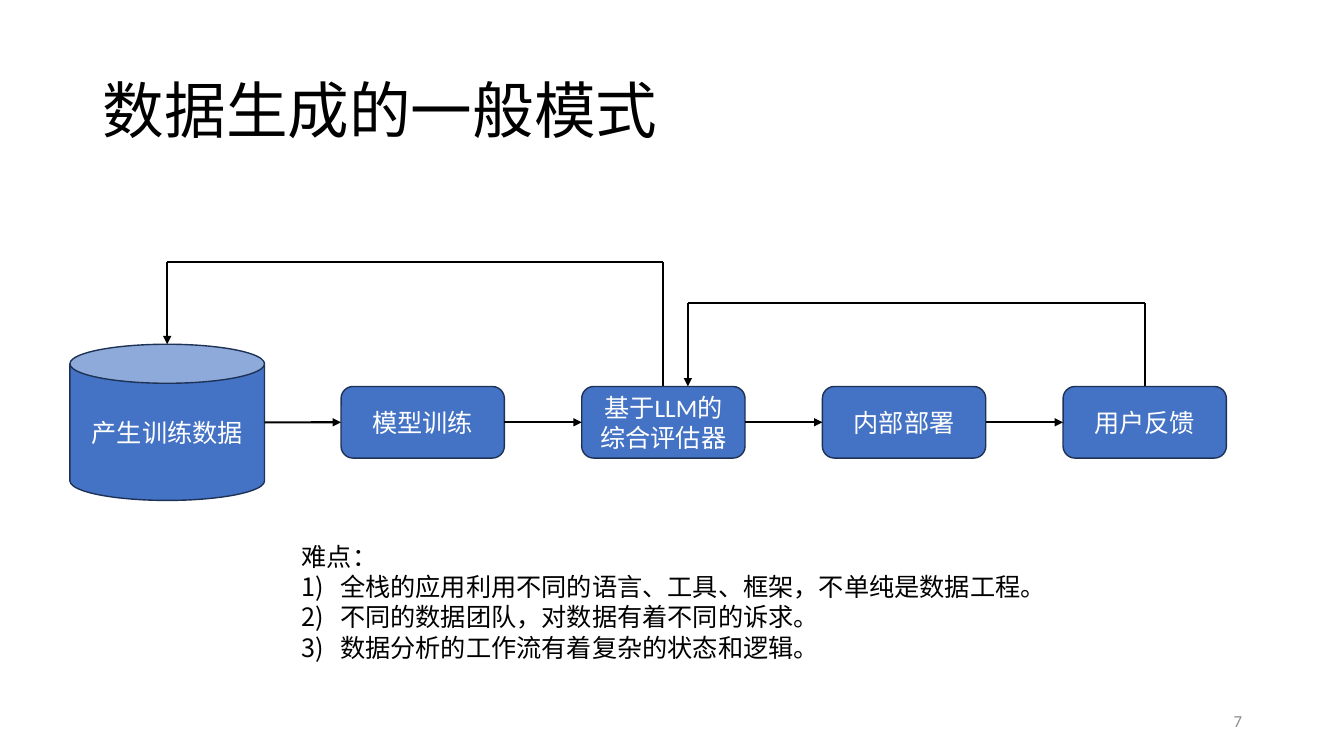
from itertools import pairwise
from typing import NamedTuple

from lxml.etree import SubElement
from pptx import Presentation
from pptx.dml.color import RGBColor
from pptx.enum.shapes import MSO_CONNECTOR, MSO_SHAPE
from pptx.enum.text import MSO_ANCHOR, MSO_AUTO_SIZE, PP_ALIGN
from pptx.oxml.ns import qn
from pptx.util import Inches, Pt

COLORS = {"ink": "000000", "step": "4472C4", "edge": "1E3256",
          "on_step": "FFFFFF", "number": "8C8C8C"}
FONT = "Calibri"
TOP, LEFT, RIGHT = 0, 1, 3
STEPS = ["模型训练", "基于LLM的综合评估器", "内部部署", "用户反馈"]
DIFFICULTIES = ["全栈的应用利用不同的语言、工具、框架，不单纯是数据工程。",
                "不同的数据团队，对数据有着不同的诉求。",
                "数据分析的工作流有着复杂的状态和逻辑。"]


class Box(NamedTuple):
    left: int
    top: int
    width: int
    height: int

    def point(self, x, y):
        return (int(self.left + self.width * x / 100),
                int(self.top + self.height * y / 100))

    def area(self, x, y, width, height):
        return Box(*self.point(x, y), int(self.width * width / 100),
                   int(self.height * height / 100))


def color(name):
    return RGBColor.from_string(COLORS[name])


def place(shape, box):
    shape.left, shape.top, shape.width, shape.height = box


def format_text(frame, size, ink, align, anchor):
    frame.word_wrap = True
    frame.auto_size = MSO_AUTO_SIZE.NONE
    frame.vertical_anchor = anchor
    for paragraph in frame.paragraphs:
        paragraph.alignment = align
        for run in paragraph.runs:
            run.font.name = FONT
            run.font.size = Pt(size)
            run.font.color.rgb = color(ink)


def add_title(slide, box):
    title = slide.shapes.title
    place(title, box)
    title.text_frame.text = "数据生成的一般模式"
    title.text_frame.paragraphs[0].line_spacing = 0.9
    format_text(title.text_frame, 44, "ink", PP_ALIGN.LEFT, MSO_ANCHOR.MIDDLE)


def add_step(slide, kind, box, label):
    step = slide.shapes.add_shape(kind, *box)
    step.shadow.inherit = False
    step.fill.solid()
    step.fill.fore_color.rgb = color("step")
    step.line.color.rgb = color("edge")
    step.line.width = Pt(1)
    step.text_frame.text = label
    format_text(step.text_frame, 18, "on_step", PP_ALIGN.CENTER, MSO_ANCHOR.MIDDLE)
    return step


def add_line(slide, start, end, arrow=False):
    line = slide.shapes.add_connector(MSO_CONNECTOR.STRAIGHT, *start, *end)
    line.line.color.rgb = color("ink")
    line.line.width = Pt(1.5)
    properties = line._element.spPr
    if arrow:
        SubElement(properties.get_or_add_ln(), qn("a:tailEnd"), type="triangle")
    SubElement(properties, qn("a:effectLst"))
    return line


def add_feedback(slide, source, start, rail, end):
    corners = [start, (start[0], rail), (end[0], rail), end]
    riser, *_ = [add_line(slide, a, b, arrow=b == end) for a, b in pairwise(corners)]
    riser.begin_connect(source, TOP)


def add_flow(slide, box):
    data_box = box.area(0, 34.6, 16.83, 65.4)
    step_boxes = [box.area(23.45 + 20.81 * i, 52.3, 14.12, 29.96)
                  for i in range(len(STEPS))]
    add_step(slide, MSO_SHAPE.CAN, data_box, "产生训练数据")
    steps = [add_step(slide, MSO_SHAPE.ROUNDED_RECTANGLE, step_box, label)
             for step_box, label in zip(step_boxes, STEPS)]

    for i, (before, after) in enumerate(pairwise([data_box, *step_boxes])):
        arrow = add_line(slide, before.point(100, 50), after.point(0, 50), arrow=True)
        if i:
            arrow.begin_connect(steps[i - 1], RIGHT)
        arrow.end_connect(steps[i], LEFT)

    evaluator, users = step_boxes[1], step_boxes[3]
    add_feedback(slide, steps[1], evaluator.point(50, 0), box.top,
                 data_box.point(50, 0))
    add_feedback(slide, steps[3], users.point(50, 0), box.point(0, 17.3)[1],
                 evaluator.point(65, 0))


def add_difficulties(slide, box):
    body = slide.placeholders[1]
    place(body, box)
    frame = body.text_frame
    frame.text = "\n".join(["难点：", *DIFFICULTIES])
    format_text(frame, 18, "ink", PP_ALIGN.LEFT, MSO_ANCHOR.TOP)
    for i, paragraph in enumerate(frame.paragraphs):
        paragraph.space_before = Pt(0)
        indent = Inches(0.38) if i else 0
        properties = paragraph._p.get_or_add_pPr()
        properties.set("marL", str(indent))
        properties.set("indent", str(-indent))
        if i:
            SubElement(properties, qn("a:buFont"), typeface=FONT)
            SubElement(properties, qn("a:buAutoNum"), type="arabicParenR")
        else:
            SubElement(properties, qn("a:buNone"))


def add_page_number(slide, box):
    number = slide.shapes.add_textbox(*box)
    number.text_frame.text = "7"
    format_text(number.text_frame, 12, "number", PP_ALIGN.RIGHT, MSO_ANCHOR.MIDDLE)


def main():
    prs = Presentation()
    prs.slide_width, prs.slide_height = Inches(13.33), Inches(7.5)
    page = Box(0, 0, prs.slide_width, prs.slide_height)
    slide = prs.slides.add_slide(prs.slide_layouts[1])
    add_title(slide, page.area(6.9, 5.33, 86.27, 19.33))
    add_flow(slide, page.area(5.2, 34.6, 86.05, 31.6))
    add_difficulties(slide, page.area(21.7, 70.93, 57.4, 17.47))
    add_page_number(slide, page.area(70.67, 92.67, 22.5, 5.33))
    prs.save("out.pptx")


if __name__ == "__main__":
    main()
